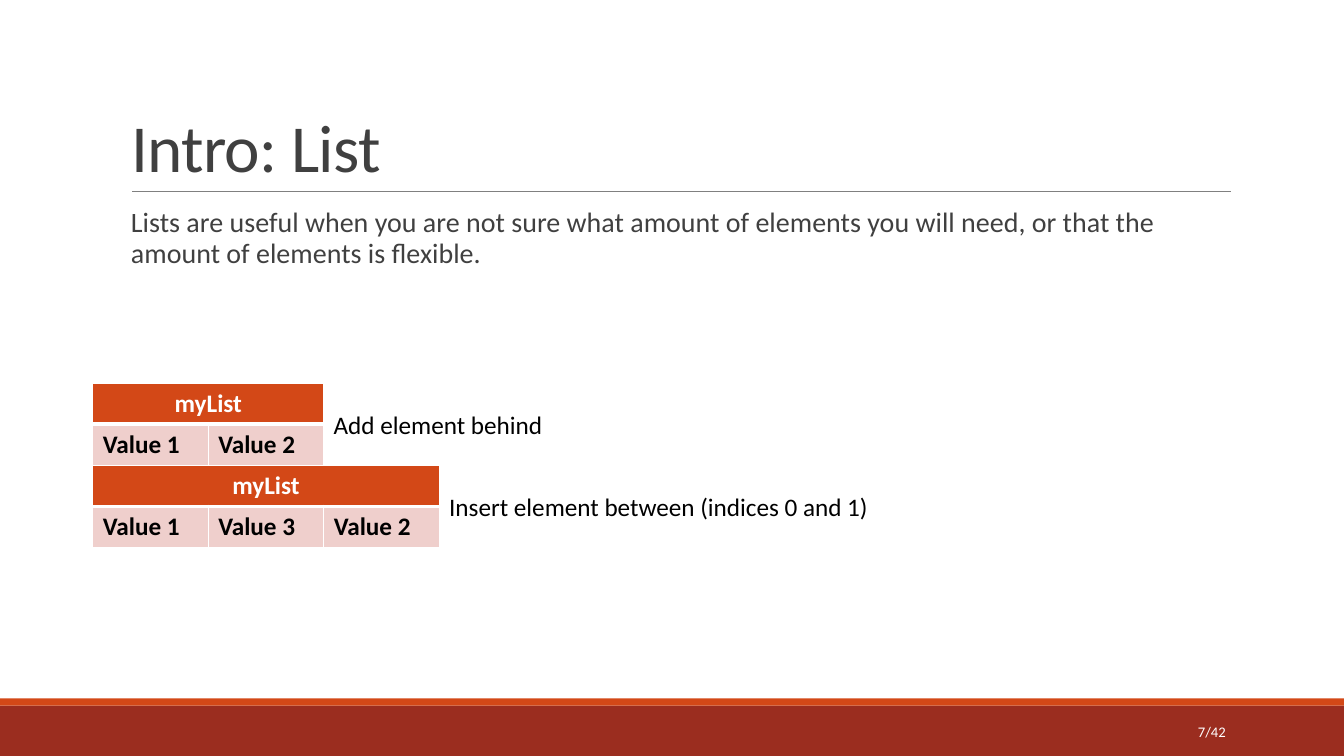
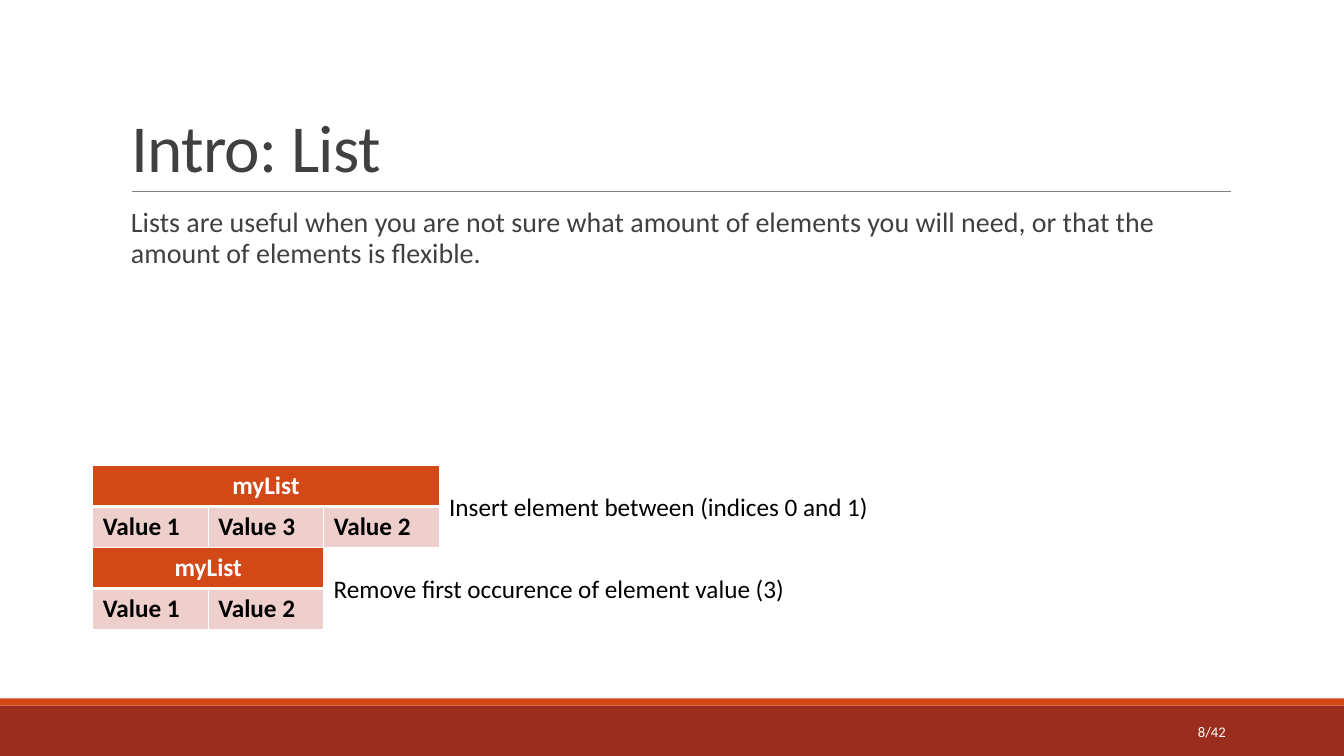
from dataclasses import dataclass

from lxml import etree
from pptx import Presentation
from pptx import util as u
from pptx.dml.color import RGBColor
from pptx.enum import shapes, text
from pptx.oxml import ns

# Shared style
FONT = "Calibri"
WHITE = RGBColor(0xFF, 0xFF, 0xFF)
BLACK = RGBColor(0, 0, 0)
INK = RGBColor(0x40, 0x40, 0x40)
GREY = RGBColor(0x80, 0x80, 0x80)
ORANGE = RGBColor(0xD3, 0x48, 0x17)
RUST = RGBColor(0x9B, 0x2D, 0x1F)
PINK = RGBColor(0xEF, 0xCF, 0xCC)
SLIDE_W, SLIDE_H = 33.87, 19.05

# Table grid, in centimetres
TABLE_LEFT, TABLE_TOP = 2.34, 9.66
COL_W, ROW_H, PITCH = 2.91, 1.03, 2.07
LABEL_DROP, LABEL_H = 0.52, 1.02

TITLE = "Intro: List"
BODY = ("Lists are useful when you are not sure what amount of elements you "
        "will need, or that the amount of elements is flexible.")
PAGE_COUNT = 42


@dataclass
class ListStep:
    slot: int
    values: list[str]
    label: str
    label_w: float


@dataclass
class Band:
    top: float
    height: float
    color: RGBColor


ADD = ListStep(0, ["Value 1", "Value 2"], "Add element behind", 5.84)
INSERT = ListStep(1, ["Value 1", "Value 3", "Value 2"],
                  "Insert element between (indices 0 and 1)", 11.2)
REMOVE = ListStep(2, ["Value 1", "Value 2"],
                  "Remove first occurence of element value (3)", 12.01)
PAGES = {7: [ADD, INSERT], 8: [INSERT, REMOVE]}
BANDS = [Band(17.78, 1.27, RUST), Band(17.6, 0.18, ORANGE)]


def write(tf, content: str, size: float, color: RGBColor,
          align=text.PP_ALIGN.LEFT, bold: bool = False):
    """Set one paragraph of text, format it and return it."""
    tf.text = content
    p = tf.paragraphs[0]
    p.alignment = align
    font = p.runs[0].font
    font.name, font.size, font.bold = FONT, u.Pt(size), bold
    font.color.rgb = color
    return p


def place(sp, left: float, top: float, width: float, height: float) -> None:
    sp.left, sp.top = u.Cm(left), u.Cm(top)
    sp.width, sp.height = u.Cm(width), u.Cm(height)


def add_label(s, left: float, top: float, width: float, height: float):
    box = s.shapes.add_textbox(u.Cm(left), u.Cm(top), u.Cm(width), u.Cm(height))
    return box.text_frame


# Bands, rule and page number
def draw_frame(s, page: int) -> None:
    for band in BANDS:
        sp = s.shapes.add_shape(shapes.MSO_SHAPE.RECTANGLE, 0, u.Cm(band.top),
                                u.Cm(SLIDE_W), u.Cm(band.height))
        sp.shadow.inherit = False
        sp.fill.solid()
        sp.fill.fore_color.rgb = band.color
        sp.line.fill.background()
    rule = s.shapes.add_connector(shapes.MSO_CONNECTOR.STRAIGHT, u.Cm(3.33),
                                  u.Cm(4.83), u.Cm(31.01), u.Cm(4.83))
    rule.line.color.rgb = GREY
    rule.line.width = u.Pt(0.5)
    etree.SubElement(rule._element.spPr, ns.qn("a:effectLst"))
    tf = add_label(s, 27.51, 17.93, 3.63, 1.02)
    tf.word_wrap = True
    tf.vertical_anchor = text.MSO_ANCHOR.MIDDLE
    write(tf, f"{page}/{PAGE_COUNT}", 10.5, WHITE, text.PP_ALIGN.RIGHT)


# Title and body placeholders
def fill_placeholders(s) -> None:
    title, body = s.shapes.title, s.placeholders[1]
    place(title, 3.05, 0.79, 27.94, 4.04)
    place(body, 3.05, 5.13, 27.94, 11.18)

    tf = title.text_frame
    p = write(tf, TITLE, 48, INK)
    p.line_spacing = 0.85
    p.runs[0].font._element.set("spc", "-50")
    tf.vertical_anchor = text.MSO_ANCHOR.BOTTOM
    tf.auto_size = text.MSO_AUTO_SIZE.NONE

    tf = body.text_frame
    tf.margin_left = tf.margin_right = 0
    tf.vertical_anchor = text.MSO_ANCHOR.TOP
    tf.auto_size = text.MSO_AUTO_SIZE.NONE
    p = write(tf, BODY, 20, INK)
    p.line_spacing = 0.9
    p.space_before, p.space_after = u.Pt(12), u.Pt(2)
    props = p._p.get_or_add_pPr()
    indent = u.Cm(0.25)
    props.set("marL", str(indent))
    props.set("indent", str(-indent))
    bullet_color = etree.SubElement(props, ns.qn("a:buClr"))
    etree.SubElement(bullet_color, ns.qn("a:srgbClr"), val=str(ORANGE))
    etree.SubElement(props, ns.qn("a:buChar"), char=" ")


def style_cell(cell, fill: RGBColor, widths: dict[str, float]) -> None:
    """Give a cell white borders (points per side) and a solid fill."""
    props = cell._tc.get_or_add_tcPr()
    for side, width in widths.items():
        ln = etree.SubElement(props, ns.qn(f"a:ln{side}"), w=str(u.Pt(width)))
        solid = etree.SubElement(ln, ns.qn("a:solidFill"))
        etree.SubElement(solid, ns.qn("a:srgbClr"), val=str(WHITE))
    cell.fill.solid()
    cell.fill.fore_color.rgb = fill


# One list table with its explanation at the right
def draw_step(s, step: ListStep) -> None:
    count = len(step.values)
    top = TABLE_TOP + step.slot * PITCH
    width = count * COL_W
    table = s.shapes.add_table(2, count, u.Cm(TABLE_LEFT), u.Cm(top),
                               u.Cm(width), u.Cm(2 * ROW_H)).table
    for row in table.rows:
        row.height = u.Cm(ROW_H)
    for i, value in enumerate(step.values):
        table.columns[i].width = u.Cm(COL_W)
        style_cell(table.cell(0, i), ORANGE, {"L": 1, "R": 1, "T": 1, "B": 3})
        style_cell(table.cell(1, i), PINK, {"L": 1, "R": 1, "T": 3, "B": 1})
        write(table.cell(1, i).text_frame, value, 18, BLACK, bold=True)
    header = table.cell(0, 0)
    header.merge(table.cell(0, count - 1))
    write(header.text_frame, "myList", 18, WHITE, text.PP_ALIGN.CENTER, True)

    tf = add_label(s, TABLE_LEFT + width, top + LABEL_DROP,
                   step.label_w, LABEL_H)
    tf.word_wrap = False
    tf.auto_size = text.MSO_AUTO_SIZE.SHAPE_TO_FIT_TEXT
    write(tf, step.label, 18, BLACK)


prs = Presentation()
prs.slide_width, prs.slide_height = u.Cm(SLIDE_W), u.Cm(SLIDE_H)
for page, steps in PAGES.items():
    s = prs.slides.add_slide(prs.slide_layouts[1])
    draw_frame(s, page)
    fill_placeholders(s)
    for step in steps:
        draw_step(s, step)
prs.save("out.pptx")
